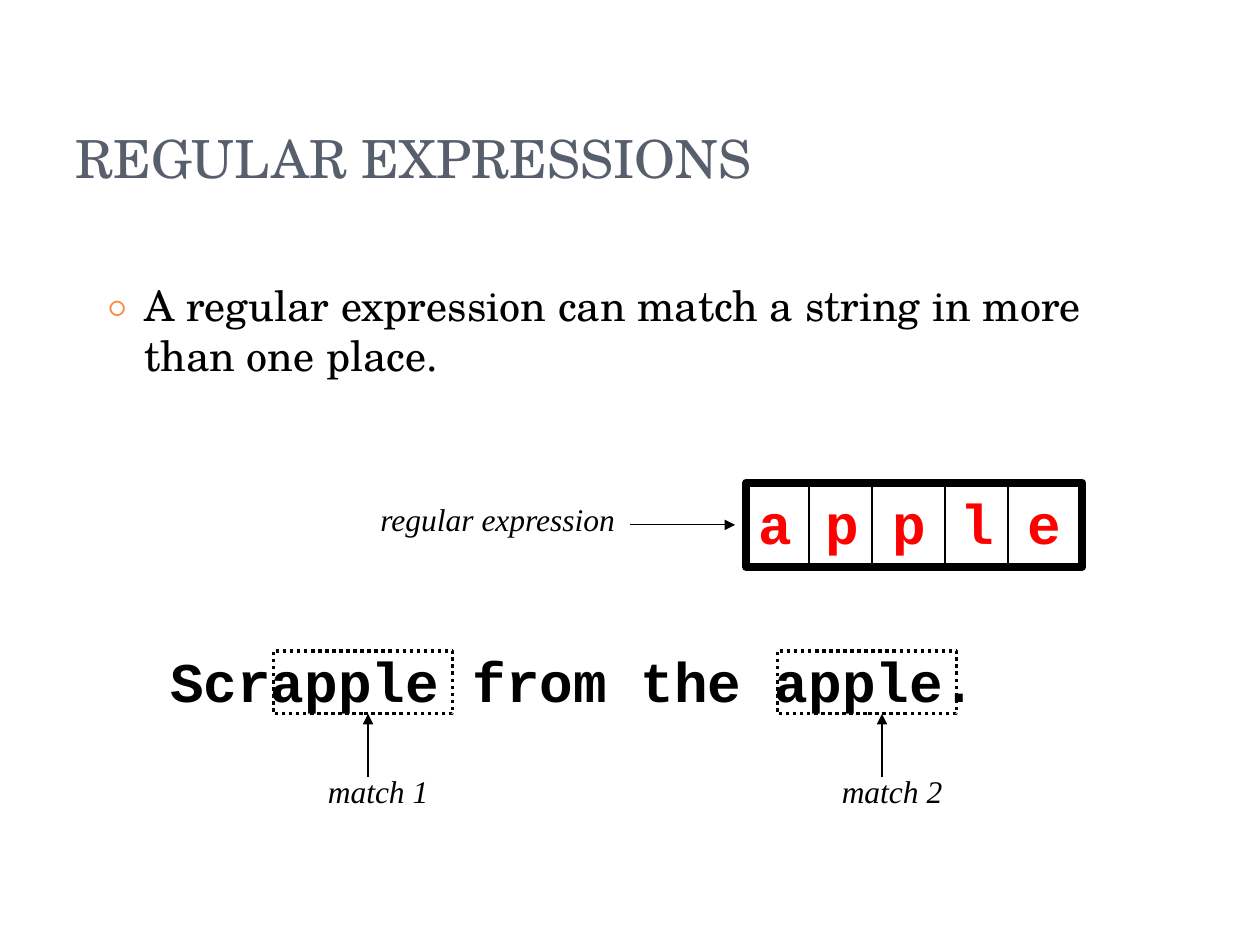
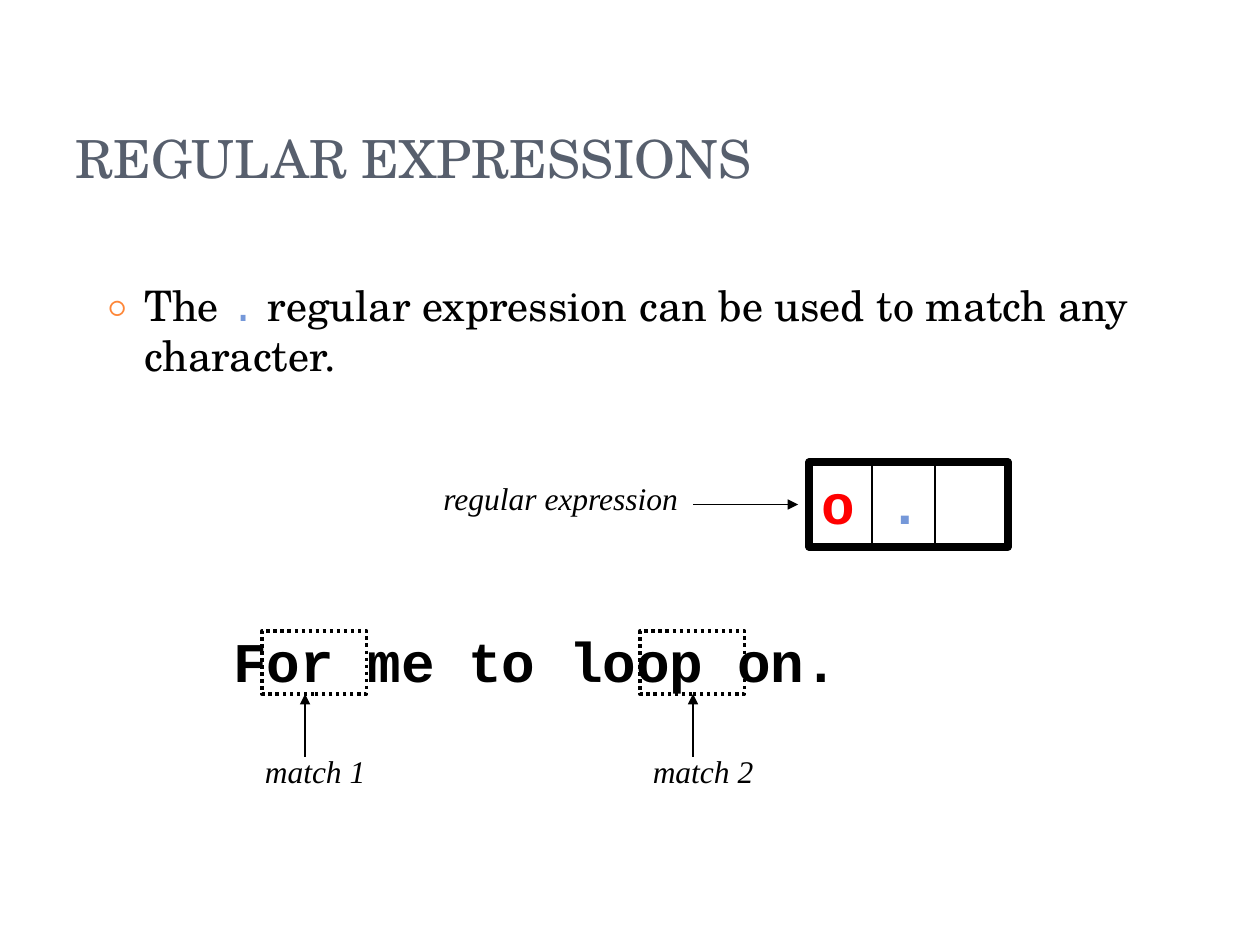
from lxml import etree
from pptx import Presentation
from pptx import util as u
from pptx.dml.color import RGBColor
from pptx.enum import dml, shapes, text
from pptx.oxml import ns

SERIF, MONO, LABEL = "TeX Gyre Schola", "Courier New", "Times New Roman"
BLACK, SLATE, ORANGE, RED, BLUE = "000000", "575F6D", "FE8637", "FF0000", "7598D9"
INCH = 2.54


def add_text(page, spans, left, top, width, height, font=LABEL, size=18, bold=False,
             italic=False, wrap=True, anchor=text.MSO_ANCHOR.TOP, bullet=None):
    """Add a one-paragraph box; spans is a list of (text, colour[, font])."""
    box = page.shapes.add_textbox(u.Cm(left), u.Cm(top), u.Cm(width), u.Cm(height))
    frame = box.text_frame
    frame.word_wrap = wrap
    frame.vertical_anchor = anchor
    para = frame.paragraphs[0]
    if bullet:
        props = para._p.get_or_add_pPr()
        props.set("marL", str(u.Cm(0.76)))
        props.set("indent", str(u.Cm(-0.76)))
        colour = etree.SubElement(props, ns.qn("a:buClr"))
        etree.SubElement(colour, ns.qn("a:srgbClr"), val=ORANGE)
        etree.SubElement(props, ns.qn("a:buSzPct"), val="70000")
        etree.SubElement(props, ns.qn("a:buFont"), typeface=SERIF)
        etree.SubElement(props, ns.qn("a:buChar"), char=bullet)
    for words, colour, *other_font in spans:
        span = para.add_run()
        span.text = words
        span.font.name = other_font[0] if other_font else font
        span.font.size = u.Pt(size)
        span.font.bold = bold
        span.font.italic = italic
        span.font.color.rgb = RGBColor.from_string(colour)


def add_line(page, x1, y1, x2, y2, arrow=False):
    line = page.shapes.add_connector(shapes.MSO_CONNECTOR.STRAIGHT,
                                     u.Cm(x1), u.Cm(y1), u.Cm(x2), u.Cm(y2))
    line.line.width = u.Pt(0.75)
    line.line.color.rgb = RGBColor.from_string(BLACK)
    if arrow:
        etree.SubElement(line.line._get_or_add_ln(), ns.qn("a:tailEnd"), type="triangle")
    etree.SubElement(line._element.spPr, ns.qn("a:effectLst"))


# Pattern and match positions are in cm; each match is (box left, arrow x)
examples = [
    dict(statement=[("A regular expression can match a string in more than one place.", BLACK)],
         pattern=[("a p p l e", RED)], pattern_at=(15.04, 9.73), pattern_width=6.78,
         dividers=[16.31, 17.58, 19.05, 20.32],
         sentence="Scrapple from the apple.", sentence_at=(3.18, 12.9),
         match_width=3.61, matches=[(5.51, 7.42), (15.67, 17.78)]),
    dict(statement=[("The ", BLACK), (".", BLUE, MONO),
                    (" regular expression can be used to match any character.", BLACK)],
         pattern=[("o ", RED), (".", BLUE)], pattern_at=(16.31, 9.32), pattern_width=4.01,
         dividers=[17.58, 18.85, 20.32],
         sentence="For me to loop on.", sentence_at=(4.45, 12.5),
         match_width=2.11, matches=[(5.28, 6.15), (12.9, 13.97)]),
]

deck = Presentation()
deck.slide_width, deck.slide_height = u.Cm(10 * INCH), u.Cm(7.5 * INCH)

for example in examples:
    page = deck.slides.add_slide(deck.slide_layouts[6])

    # Title and statement
    add_text(page, [("REGULAR EXPRESSIONS", SLATE)], 1.27, 0.76, 20.75, 3.18,
             font=SERIF, size=30, anchor=text.MSO_ANCHOR.BOTTOM)
    add_text(page, example["statement"], 1.9, 5.51, 21.59, 2.97,
             font=SERIF, size=24, bullet="○")

    # Sentence being searched
    left, top = example["sentence_at"]
    add_text(page, [(example["sentence"], BLACK)], left, top, 17.15, 1.63,
             font=MONO, size=32, bold=True)

    # Outlines: dotted around the matches, solid around the pattern
    match_top, match_height = top + 0.22, 1.27
    pattern_left, pattern_top = example["pattern_at"]
    outlines = [(x, match_top, example["match_width"], match_height, 2, True)
                for x, _ in example["matches"]]
    outlines.append((pattern_left, pattern_top, example["pattern_width"], 1.7, 4.5, False))
    for x, y, width, height, weight, dotted in outlines:
        frame = page.shapes.add_shape(shapes.MSO_SHAPE.RECTANGLE,
                                      u.Cm(x), u.Cm(y), u.Cm(width), u.Cm(height))
        frame.shadow.inherit = False
        frame.fill.background()
        frame.line.color.rgb = RGBColor.from_string(BLACK)
        frame.line.width = u.Pt(weight)
        if dotted:
            frame.line.dash_style = dml.MSO_LINE.ROUND_DOT

    # Arrows and labels under the matches
    match_bottom = match_top + match_height
    for number, (_, x) in enumerate(example["matches"], 1):
        add_line(page, x, match_bottom + 1.27, x, match_bottom, arrow=True)
        add_text(page, [(f"match {number}", BLACK)], x - 1.06, match_bottom + 1.05,
                 2.54, 1.02, italic=True, wrap=False)

    # Pattern letters, cell dividers and pointer
    add_text(page, example["pattern"], pattern_left, pattern_top, example["pattern_width"], 1.63,
             font=MONO, size=32, bold=True)
    for x in example["dividers"]:
        add_line(page, x, pattern_top, x, pattern_top + 1.7)
    add_text(page, [("regular expression", BLACK)], pattern_left - 7.62, pattern_top + 0.22,
             5.28, 1.02, italic=True, wrap=False)
    pointer_y = pattern_top + 0.85
    add_line(page, pattern_left - 2.34, pointer_y, pattern_left - 0.22, pointer_y, arrow=True)

deck.save("out.pptx")
